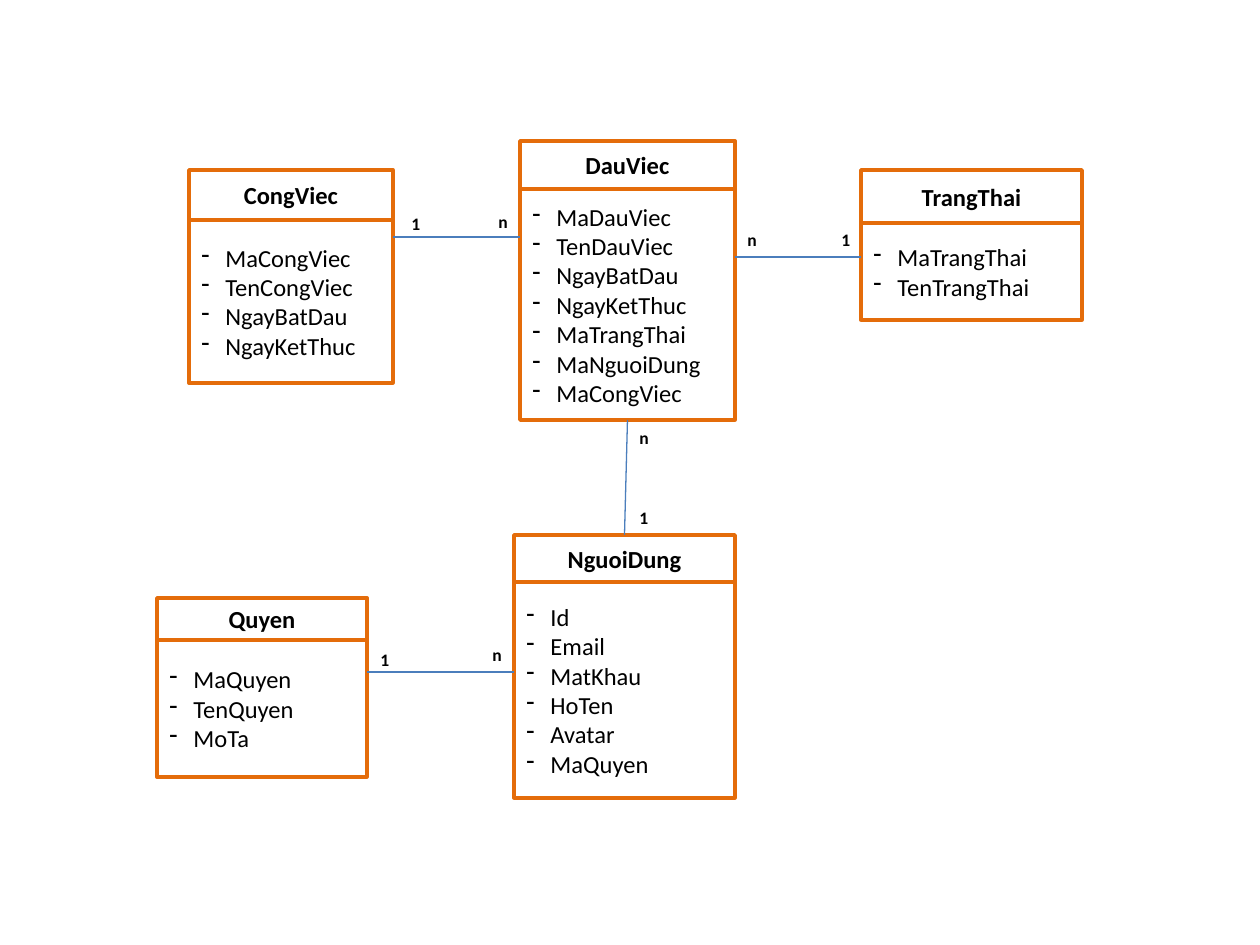
from pptx import Presentation
from pptx import util as u
from pptx.dml.color import RGBColor
from pptx.enum import shapes, text
from pptx.oxml.ns import qn
from lxml import etree

PX = u.Inches(1) / 126
ORANGE = RGBColor(0xE4, 0x6C, 0x0A)
BLUE = RGBColor(0x4B, 0x7E, 0xBC)
BLACK = RGBColor(0, 0, 0)
INDENT = 24
LABEL_SIZE = 34

ENTITIES = {
    "CongViec": ((189, 170, 204, 213), 50,
                 ["MaCongViec", "TenCongViec", "NgayBatDau", "NgayKetThuc"]),
    "DauViec": ((520, 141, 215, 279), 48,
                ["MaDauViec", "TenDauViec", "NgayBatDau", "NgayKetThuc",
                 "MaTrangThai", "MaNguoiDung", "MaCongViec"]),
    "Quyen": ((157, 598, 210, 179), 42, ["MaQuyen", "TenQuyen", "MoTa"]),
    "NguoiDung": ((514, 535, 221, 263), 47,
                  ["Id", "Email", "MatKhau", "HoTen", "Avatar", "MaQuyen"]),
    "TrangThai": ((861, 170, 221, 150), 53, ["MaTrangThai", "TenTrangThai"]),
}
RELATIONS = [
    ((393, 237, 520, 237), ("1", 399, 207), ("n", 486, 205)),
    ((735, 257, 861, 257), ("n", 735, 223), ("1", 829, 223)),
    ((367, 672, 514, 672), ("1", 368, 643), ("n", 480, 638)),
]


def px(*lengths):
    """Turn pixel lengths into EMU."""
    return [u.Emu(round(length * PX)) for length in lengths]


def write(frame, lines, size=14, bold=False, align=text.PP_ALIGN.LEFT, dashed=False):
    """Fill a text frame with one paragraph per line."""
    for index, line in enumerate(lines):
        paragraph = frame.add_paragraph() if index else frame.paragraphs[0]
        paragraph.alignment = align
        run = paragraph.add_run()
        run.text = line
        run.font.name = "Calibri"
        run.font.size = u.Pt(size)
        run.font.bold = bold
        run.font.color.rgb = BLACK
        if dashed:
            indent = px(INDENT)[0]
            properties = paragraph._p.get_or_add_pPr()
            properties.set("marL", str(indent))
            properties.set("indent", str(-indent))
            etree.SubElement(properties, qn("a:buFontTx"))
            etree.SubElement(properties, qn("a:buChar")).set("char", "-")


def add_compartment(slide, box, lines, **style):
    """Draw one outlined compartment of an entity."""
    compartment = slide.shapes.add_shape(shapes.MSO_SHAPE.RECTANGLE, *px(*box))
    compartment.shadow.inherit = False
    compartment.fill.background()
    compartment.line.color.rgb = ORANGE
    compartment.line.width = u.Pt(2)
    compartment.text_frame.vertical_anchor = text.MSO_ANCHOR.MIDDLE
    write(compartment.text_frame, lines, **style)
    return compartment


def add_entity(slide, box, header_height, name, fields):
    """Draw an entity with its name above its fields."""
    left, top, width, height = box
    body = add_compartment(
        slide, (left, top + header_height, width, height - header_height),
        fields, dashed=True)
    header = add_compartment(slide, (left, top, width, header_height), [name],
                             bold=True, align=text.PP_ALIGN.CENTER)
    return header, body


def add_label(slide, cardinality, left, top):
    """Place a cardinality beside the end of a relation."""
    label = slide.shapes.add_textbox(*px(left, top, LABEL_SIZE, LABEL_SIZE))
    label.text_frame.word_wrap = False
    label.text_frame.auto_size = text.MSO_AUTO_SIZE.SHAPE_TO_FIT_TEXT
    write(label.text_frame, [cardinality], size=10, bold=True)


def add_relation(slide, ends, *labels):
    """Draw a relation line with its cardinalities."""
    relation = slide.shapes.add_connector(shapes.MSO_CONNECTOR.STRAIGHT, *px(*ends))
    relation.line.color.rgb = BLUE
    relation.line.width = u.Pt(0.75)
    etree.SubElement(relation._element.spPr, qn("a:effectLst"))
    for label in labels:
        add_label(slide, *label)
    return relation


def main():
    """Build the entity diagram and save it."""
    deck = Presentation()
    deck.slide_width, deck.slide_height = u.Inches(10), u.Inches(7.5)
    slide = deck.slides.add_slide(deck.slide_layouts[6])
    entities = {name: add_entity(slide, box, header_height, name, fields)
                for name, (box, header_height, fields) in ENTITIES.items()}
    for relation in RELATIONS:
        add_relation(slide, *relation)
    assignment = add_relation(slide, (627, 420, 625, 535),
                              ("n", 627, 421), ("1", 627, 501))
    assignment.begin_connect(entities["DauViec"][1], 2)
    assignment.end_connect(entities["NguoiDung"][0], 0)
    deck.save("out.pptx")


if __name__ == "__main__":
    main()
